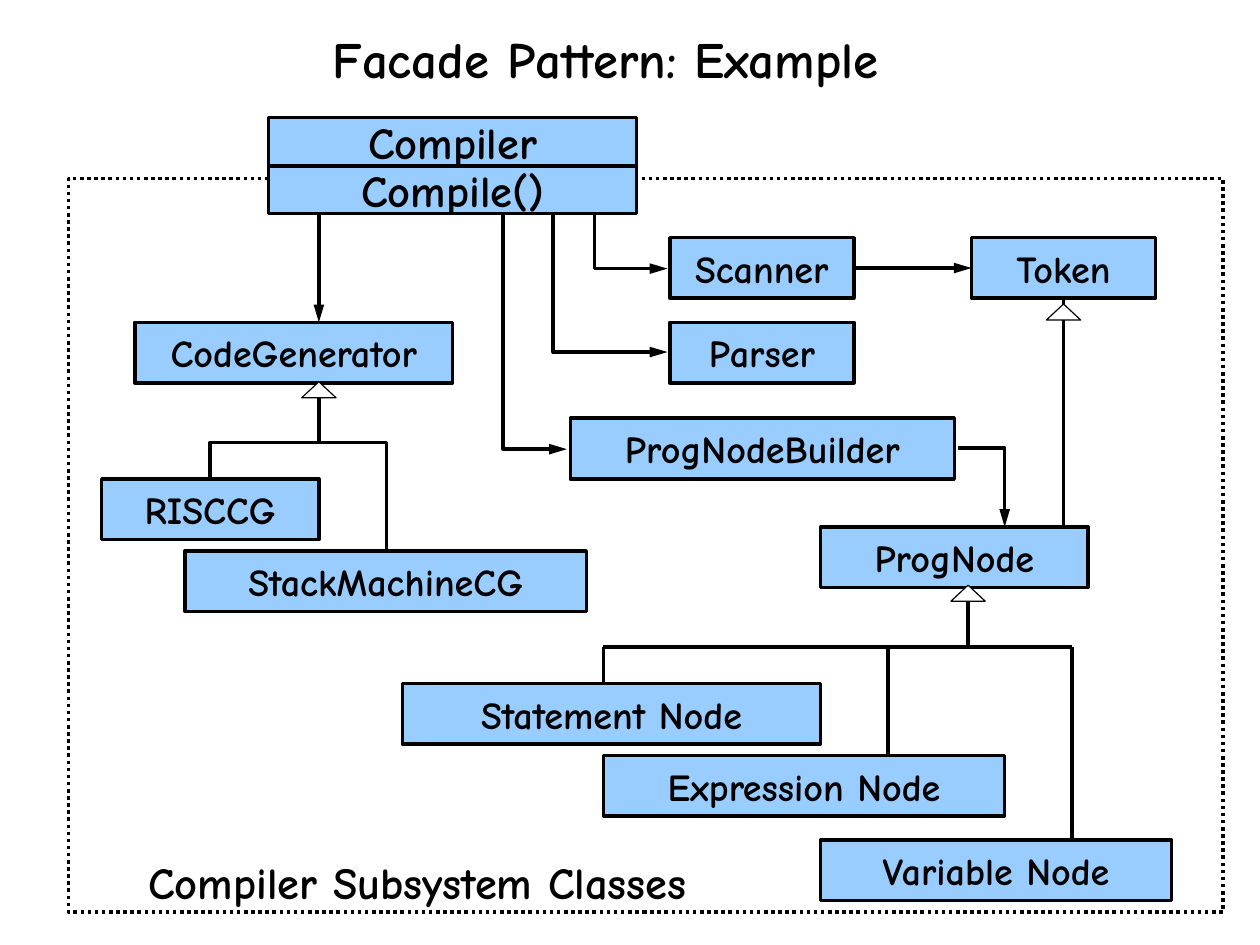
from collections import namedtuple

from lxml import etree
from pptx import Presentation
from pptx.dml.color import RGBColor
from pptx.enum.dml import MSO_LINE
from pptx.enum.shapes import MSO_CONNECTOR, MSO_SHAPE
from pptx.enum.text import MSO_ANCHOR, MSO_AUTO_SIZE, PP_ALIGN
from pptx.oxml.ns import qn
from pptx.util import Cm, Inches, Pt

RECT = MSO_SHAPE.RECTANGLE
TRIANGLE = MSO_SHAPE.ISOSCELES_TRIANGLE
STRAIGHT = MSO_CONNECTOR.STRAIGHT
ELBOW = MSO_CONNECTOR.ELBOW
DOTTED = MSO_LINE.ROUND_DOT
CENTER = PP_ALIGN.CENTER
MIDDLE = MSO_ANCHOR.MIDDLE
BOTTOM = MSO_ANCHOR.BOTTOM
NO_FIT = MSO_AUTO_SIZE.NONE

COLORS = {"text": "000000", "line": "000000", "node": "99CCFF", "paper": "FFFFFF"}
FONT = "Comic Neue"
NODE_H = 0.53
TOP, LEFT, BASE, RIGHT = range(4)
Box = namedtuple("Box", "x y w h")


def color(name):
    return RGBColor.from_string(COLORS[name])


def write(sp, text, size, anchor=MIDDLE, wrap=False):
    tf = sp.text_frame
    tf.word_wrap = wrap
    tf.auto_size = NO_FIT
    tf.vertical_anchor = anchor
    tf.margin_left = tf.margin_right = Inches(0.11)
    tf.margin_top = tf.margin_bottom = Inches(0.06)
    p = tf.paragraphs[0]
    p.alignment = CENTER
    r = p.add_run()
    r.text = text
    r.font.name = FONT
    r.font.size = Pt(size)
    r.font.bold = True
    r.font.color.rgb = color("text")
    return p


def add_shape(s, kind, box, fill, width):
    sp = s.shapes.add_shape(kind, *map(Inches, box))
    sp.shadow.inherit = False
    sp.fill.solid()
    sp.fill.fore_color.rgb = color(fill)
    sp.line.color.rgb = color("line")
    sp.line.width = Pt(width)
    return sp


def add_node(s, text, x, y, w, h=NODE_H, size=24):
    sp = add_shape(s, RECT, (x, y, w, h), "node", 2.25)
    write(sp, text, size)
    return sp


def add_inherit_mark(s, x, y):
    add_shape(s, TRIANGLE, (x - 0.15, y, 0.3, 0.14), "paper", 0.75)


def add_line(s, x1, y1, x2, y2, arrow=False, kind=STRAIGHT):
    c = s.shapes.add_connector(kind, *map(Inches, (x1, y1, x2, y2)))
    c.line.color.rgb = color("line")
    c.line.width = Pt(2.25)
    props = c._element.spPr
    if arrow:
        etree.SubElement(props.find(qn("a:ln")), qn("a:tailEnd"),
                         type="triangle", w="med", len="lg")
    etree.SubElement(props, qn("a:effectLst"))
    return c


def add_elbow(s, x1, y1, x2, y2, arrow=True, vertical=True, rise=None):
    c = add_line(s, x1, y1, x2, y2, arrow, ELBOW)
    props = c._element.spPr
    geom = props.find(qn("a:prstGeom"))
    if rise is None:
        geom.set("prst", "bentConnector2")
    else:
        guides = geom.find(qn("a:avLst"))
        ratio = round(-rise / (y2 - y1) * 100000)
        etree.SubElement(guides, qn("a:gd"), name="adj1", fmla=f"val {ratio}")
    if vertical:
        w, h = x2 - x1, y2 - y1
        c.left = Inches((x1 + x2 - h) / 2)
        c.top = Inches((y1 + y2 - w) / 2)
        c.width, c.height = Inches(h), Inches(w)
        xfrm = props.find(qn("a:xfrm"))
        xfrm.set("rot", "16200000")
        xfrm.set("flipH", "1")
    return c


def add_title(s, box):
    sp = s.shapes.title
    sp.left, sp.top, sp.width, sp.height = map(Inches, box)
    p = write(sp, "Facade Pattern: Example", 32, BOTTOM, True)
    p.line_spacing = 0.88


def add_subsystem(s, box):
    sp = add_shape(s, RECT, box, "paper", 2.25)
    sp.line.dash_style = DOTTED
    label = s.shapes.add_textbox(Inches(box.x + 0.58), Inches(box.y + 5.86),
                                 Inches(4.94), Inches(0.58))
    write(label, "Compiler Subsystem Classes", 28)


def add_facade(s, box):
    row = box.h / 2
    for i, text in enumerate(("Compiler", "Compile()")):
        add_node(s, text, box.x, box.y + i * row, box.w, row, 28)
    base = box.y + box.h
    add_line(s, box.x + 0.44, base, box.x + 0.44, base + 0.95, True)
    for dx, end_x, end_y in ((2.85, 5.84, 2.35), (2.49, 5.84, 3.08), (2.05, 4.96, 3.93)):
        add_elbow(s, box.x + dx, base, end_x, end_y)


def add_front_end(s, box):
    w = 1.61
    scanner = add_node(s, "Scanner", box.x, box.y, w)
    add_node(s, "Parser", box.x, box.y + box.h - NODE_H, w)
    token = add_node(s, "Token", box.x + box.w - w, box.y, w)
    mid = box.y + NODE_H / 2
    c = add_line(s, box.x + w, mid, box.x + box.w - w, mid, True)
    c.begin_connect(scanner, RIGHT)
    c.end_connect(token, LEFT)
    return token


def add_generators(s, box):
    x, y = box.x, box.y
    stem = x + 1.9
    add_elbow(s, x + 0.95, y + 1.35, x + 2.49, y + 1.98, False, rise=0.3)
    add_line(s, stem, y + 1.04, stem, y + NODE_H)
    add_node(s, "CodeGenerator", x + 0.29, y, 2.78)
    add_node(s, "RISCCG", x, y + 1.37, 1.9)
    add_node(s, "StackMachineCG", x + 0.73, y + 2, 3.51)
    add_inherit_mark(s, stem, y + 0.52)


def add_prog_nodes(s, box, token):
    x, y = box.x, box.y
    bar = y + 2
    add_node(s, "ProgNodeBuilder", x + 1.47, y, 3.36)
    add_node(s, "ProgNode", x + 3.66, y + 0.95, 2.34)
    add_elbow(s, x + 4.86, y + 0.26, x + 5.27, y + 0.95, vertical=False)
    token_x = (token.left + token.width / 2) / Inches(1)
    up = add_line(s, token_x, y + 0.95, token_x, y - 1.05)
    up.end_connect(token, BASE)
    add_inherit_mark(s, token_x, y - 1)

    children = (("Statement Node", 0, 2.32, 3.66, 1.76),
                ("Expression Node", 1.76, 2.95, 3.51, 4.25),
                ("Variable Node", 3.66, 3.69, 3.07, 5.86))
    for text, dx, dy, w, stem in children:
        add_node(s, text, x + dx, y + dy, w)
        add_line(s, x + stem, y + dy, x + stem, bar)
    add_line(s, x + children[0][-1], bar, x + children[-1][-1], bar)
    add_line(s, x + 4.95, bar, x + 4.95, y + 1.48)
    add_inherit_mark(s, x + 4.95, y + 1.46)


def main():
    prs = Presentation()
    prs.slide_width = Cm(28)
    prs.slide_height = Cm(21)
    s = prs.slides.add_slide(prs.slide_layouts[5])
    add_title(s, Box(0.6, -0.53, 9.4, 1.37))
    add_subsystem(s, Box(0.6, 1.56, 10.1, 6.42))
    add_facade(s, Box(2.35, 1.03, 3.22, 0.84))
    token = add_front_end(s, Box(5.86, 2.08, 4.25, 1.27))
    add_generators(s, Box(0.89, 2.82, 4.24, 2.53))
    add_prog_nodes(s, Box(3.52, 3.66, 6.73, 4.22), token)
    prs.save("out.pptx")


if __name__ == "__main__":
    main()
